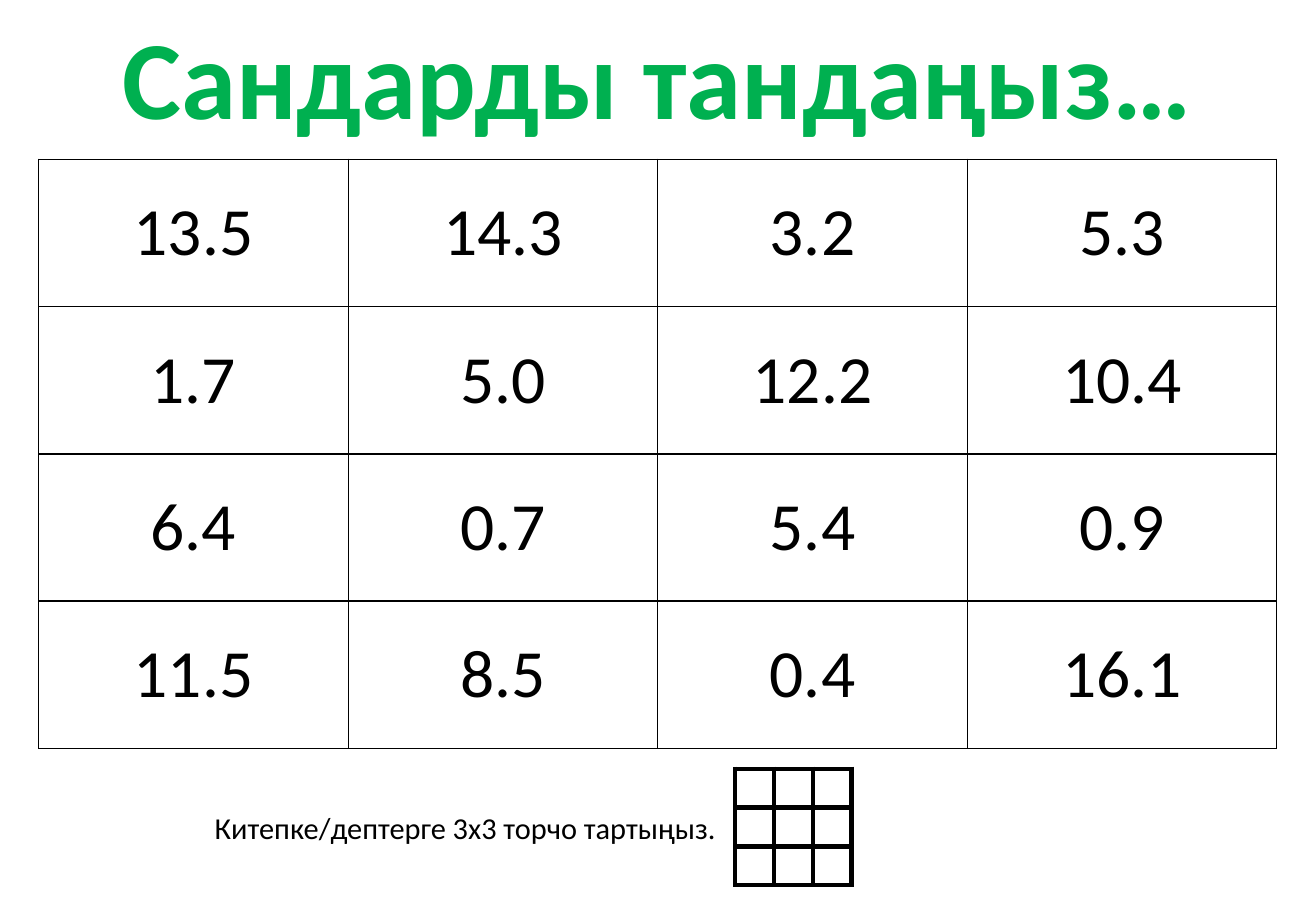
import dataclasses

import lxml.etree
import pptx
import pptx.dml.color
import pptx.enum.text
import pptx.oxml.ns
import pptx.slide
import pptx.util

COLORS = {"ink": "000000", "paper": "FFFFFF", "title": "00B050"}
FONT = "Calibri"
ALIGN = pptx.enum.text.PP_ALIGN


@dataclasses.dataclass(frozen=True)
class Grid:
    left: float
    top: float
    column_width: float
    row_height: float
    border_points: float
    rows: list[list[str]]


@dataclasses.dataclass(frozen=True)
class Label:
    left: float
    top: float
    width: float
    height: float
    text: str
    size: int
    color: str
    align: ALIGN = ALIGN.LEFT
    bold: bool = False
    outline_points: float = 0


NUMBERS = Grid(0.81, 3.33, 6.47, 3.08, 1, [
    ["13.5", "14.3", "3.2", "5.3"],
    ["1.7", "5.0", "12.2", "10.4"],
    ["6.4", "0.7", "5.4", "0.9"],
    ["11.5", "8.5", "0.4", "16.1"],
])
SAMPLE_GRID = Grid(15.37, 16.08, 0.81, 0.81, 3, [[""] * 3] * 3)
TITLE = Label(2.01, 0.05, 23.47, 3.07, "Сандарды тандаңыз…", 66, "title",
              ALIGN.CENTER, True, 0.75)
INSTRUCTION = Label(4.24, 16.79, 11.13, 1.02,
                    "Китепке/дептерге 3х3 торчо тартыңыз.", 18, "ink")


def rgb(name: str) -> pptx.dml.color.RGBColor:
    return pptx.dml.color.RGBColor.from_string(COLORS[name])


def insert_line(parent, index: int, tag: str, points: float) -> None:
    qn = pptx.oxml.ns.qn
    line = lxml.etree.Element(qn(tag), w=str(pptx.util.Pt(points)))
    fill = lxml.etree.SubElement(line, qn("a:solidFill"))
    lxml.etree.SubElement(fill, qn("a:srgbClr"), val=COLORS["ink"])
    parent.insert(index, line)


def format_runs(para, size: int, color: str, bold: bool = False) -> None:
    for span in para.runs:
        span.font.name = FONT
        span.font.size = pptx.util.Pt(size)
        span.font.bold = bold
        span.font.color.rgb = rgb(color)


def format_cell(cell, text: str, border_points: float) -> None:
    cell.margin_left = cell.margin_right = 0
    cell.margin_top = cell.margin_bottom = 0
    cell.vertical_anchor = pptx.enum.text.MSO_ANCHOR.MIDDLE
    cell.fill.solid()
    cell.fill.fore_color.rgb = rgb("paper")
    properties = cell._tc.get_or_add_tcPr()
    for index, side in enumerate("LRTB"):
        insert_line(properties, index, f"a:ln{side}", border_points)
    if text:
        para = cell.text_frame.paragraphs[0]
        para.text = text
        para.alignment = ALIGN.CENTER
        format_runs(para, 40, "ink")


def draw_grid(page: pptx.slide.Slide, grid: Grid) -> None:
    Cm = pptx.util.Cm
    row_count, column_count = len(grid.rows), len(grid.rows[0])
    table = page.shapes.add_table(
        row_count, column_count, Cm(grid.left), Cm(grid.top),
        Cm(grid.column_width * column_count), Cm(grid.row_height * row_count),
    ).table
    table.first_row = table.horz_banding = False
    for column in table.columns:
        column.width = Cm(grid.column_width)
    for row, texts in zip(table.rows, grid.rows):
        row.height = Cm(grid.row_height)
        for cell, text in zip(row.cells, texts):
            format_cell(cell, text, grid.border_points)


def draw_label(page: pptx.slide.Slide, label: Label) -> None:
    Cm = pptx.util.Cm
    box = page.shapes.add_textbox(
        Cm(label.left), Cm(label.top), Cm(label.width), Cm(label.height))
    frame = box.text_frame
    frame.text = label.text
    frame.word_wrap = False
    frame.auto_size = pptx.enum.text.MSO_AUTO_SIZE.SHAPE_TO_FIT_TEXT
    para = frame.paragraphs[0]
    para.alignment = label.align
    format_runs(para, label.size, label.color, label.bold)
    if label.outline_points:
        for span in para.runs:
            insert_line(span.font._element, 0, "a:ln", label.outline_points)


def main() -> None:
    deck = pptx.Presentation()
    deck.slide_width = pptx.util.Cm(27.51)
    deck.slide_height = pptx.util.Cm(19.05)
    page = deck.slides.add_slide(deck.slide_layouts[6])
    draw_grid(page, NUMBERS)
    draw_label(page, TITLE)
    draw_grid(page, SAMPLE_GRID)
    draw_label(page, INSTRUCTION)
    deck.save("out.pptx")


if __name__ == "__main__":
    main()
